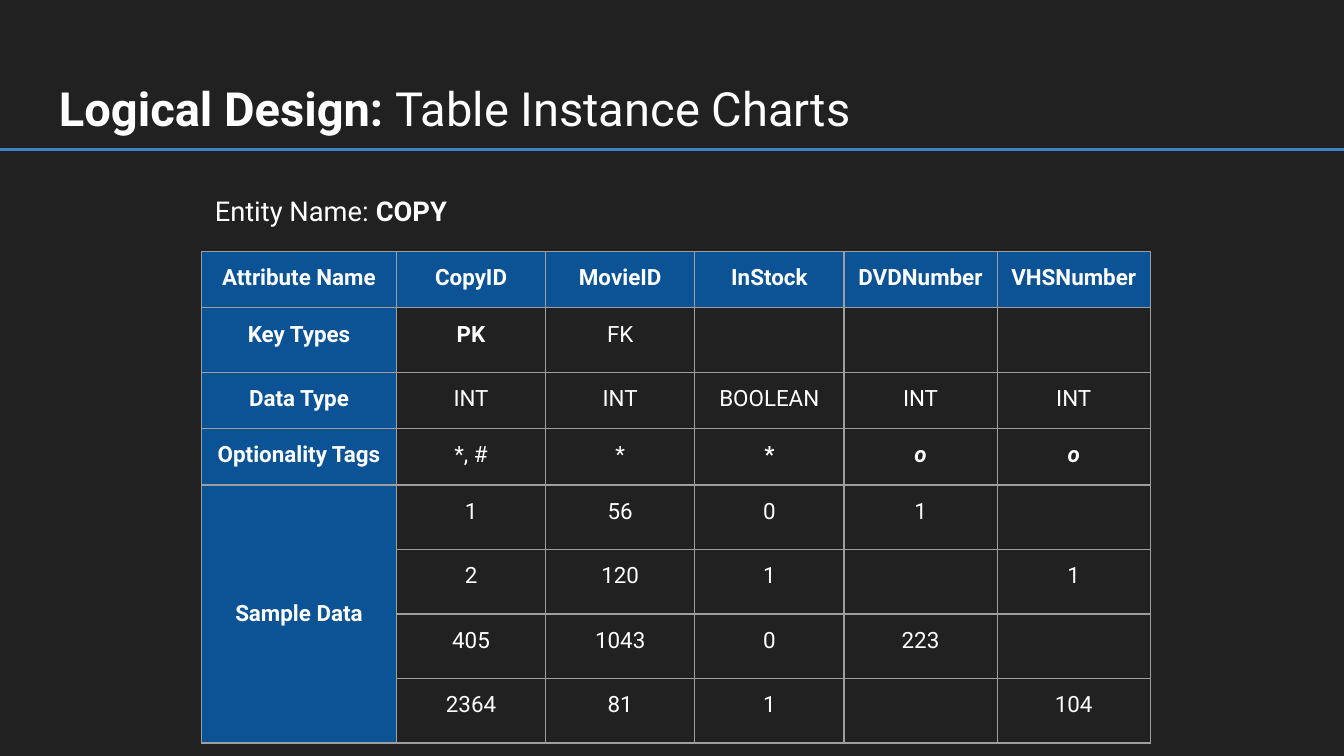
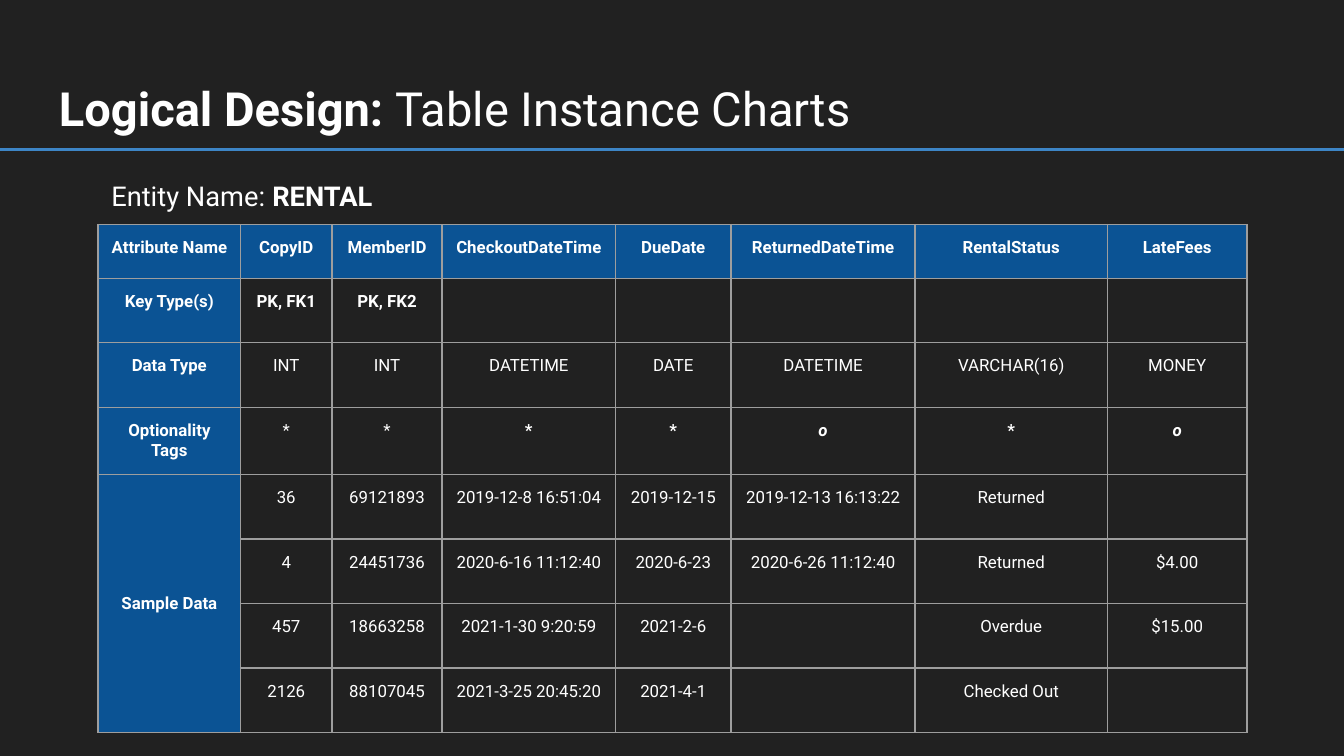
from pptx import Presentation
from pptx.dml.color import RGBColor
from pptx.enum.shapes import MSO_CONNECTOR
from pptx.enum.text import MSO_ANCHOR, PP_ALIGN
from pptx.oxml import parse_xml
from pptx.oxml.ns import nsdecls
from pptx.util import Inches, Pt

CENTER, LEFT = PP_ALIGN.CENTER, PP_ALIGN.LEFT
TOP, MIDDLE = MSO_ANCHOR.TOP, MSO_ANCHOR.MIDDLE
STRAIGHT = MSO_CONNECTOR.STRAIGHT

# Content
TITLE = ("Logical Design: ", "Table Instance Charts")
ENTITY_LABEL = "Entity Name: "
ENTITIES = [
    {
        "name": "COPY", "left": 1.5, "label_top": 1.35, "table_top": 1.87, "size": 12,
        "cols": [1.45, 1.11, 1.11, 1.11, 1.14, 1.14],
        "rows": [0.42, 0.48, 0.42, 0.42] + [0.48] * 4,
        "cells": [
            ["Attribute Name", "CopyID", "MovieID", "InStock", "DVDNumber", "VHSNumber"],
            ["Key Types", "PK", "FK", "", "", ""],
            ["Data Type", "INT", "INT", "BOOLEAN", "INT", "INT"],
            ["Optionality Tags", "*, #", "*", "*", "o", "o"],
            ["Sample Data", "1", "56", "0", "1", ""],
            ["", "2", "120", "1", "", "1"],
            ["", "405", "1043", "0", "223", ""],
            ["", "2364", "81", "1", "", "104"],
        ],
    },
    {
        "name": "RENTAL", "left": 0.73, "label_top": 1.24, "table_top": 1.67, "size": 9,
        "cols": [1.06, 0.68, 0.82, 1.29, 0.86, 1.37, 1.43, 1.04],
        "rows": [0.4, 0.48, 0.48, 0.5] + [0.48] * 4,
        "cells": [
            ["Attribute Name", "CopyID", "MemberID", "CheckoutDateTime", "DueDate",
             "ReturnedDateTime", "RentalStatus", "LateFees"],
            ["Key Type(s)", "PK, FK1", "PK, FK2", "", "", "", "", ""],
            ["Data Type", "INT", "INT", "DATETIME", "DATE", "DATETIME", "VARCHAR(16)", "MONEY"],
            ["Optionality Tags", "*", "*", "*", "*", "o", "*", "o"],
            ["Sample Data", "36", "69121893", "2019-12-8 16:51:04", "2019-12-15",
             "2019-12-13 16:13:22", "Returned", ""],
            ["", "4", "24451736", "2020-6-16 11:12:40", "2020-6-23",
             "2020-6-26 11:12:40", "Returned", "$4.00"],
            ["", "457", "18663258", "2021-1-30 9:20:59", "2021-2-6", "", "Overdue", "$15.00"],
            ["", "2126", "88107045", "2021-3-25 20:45:20", "2021-4-1", "", "Checked Out", ""],
        ],
    },
]

# Shared style
COLORS = {"back": "212121", "text": "FFFFFF", "rule": "3D85C6",
          "header": "0B5394", "border": "9E9E9E"}
FONT = "Roboto"
WIDTH = 10
HEIGHT = WIDTH * 9 / 16
RULE_Y = 1.11
INSET = Inches(0.1)
TAG_ROW, SAMPLE_ROW = 3, 4
FIRST_BOLD_TAG = 3


def rgb(name):
    return RGBColor.from_string(COLORS[name])


def add_run(p, text, size, bold=False, italic=False):
    r = p.add_run()
    r.text = text
    f = r.font
    f.name, f.size, f.bold, f.italic = FONT, Pt(size), bold, italic
    f.color.rgb = rgb("text")


def add_line_of_text(s, box, runs, size):
    tf = s.shapes.add_textbox(*map(Inches, box)).text_frame
    tf.word_wrap = True
    tf.vertical_anchor = MIDDLE
    tf.margin_left = tf.margin_right = tf.margin_top = tf.margin_bottom = INSET
    tf.paragraphs[0].alignment = LEFT
    for text, bold in runs:
        add_run(tf.paragraphs[0], text, size, bold)


def add_borders(cell):
    for side in ("lnL", "lnR", "lnT", "lnB"):
        cell._tc.get_or_add_tcPr().append(parse_xml(
            f'<a:{side} {nsdecls("a")} w="{Pt(0.75)}"><a:solidFill>'
            f'<a:srgbClr val="{COLORS["border"]}"/></a:solidFill></a:{side}>'))


def is_bold(row, col, text):
    return (row == 0 or col == 0 or text.startswith("PK")
            or (row == TAG_ROW and col >= FIRST_BOLD_TAG))


def fill_cell(cell, row, col, text, size):
    add_borders(cell)
    if row == 0 or col == 0:
        cell.fill.solid()
        cell.fill.fore_color.rgb = rgb("header")
    else:
        cell.fill.background()
    cell.margin_left = cell.margin_right = cell.margin_top = cell.margin_bottom = INSET
    cell.vertical_anchor = MIDDLE if (row, col) == (SAMPLE_ROW, 0) else TOP
    p = cell.text_frame.paragraphs[0]
    p.alignment = CENTER
    if text:
        add_run(p, text, size, is_bold(row, col, text), text == "o")
    else:
        # Keep empty cells from stretching their row
        p._p.get_or_add_endParaRPr().set("sz", str(size * 100))


def add_instance_chart(s, entity):
    cols, rows, cells = entity["cols"], entity["rows"], entity["cells"]
    table = s.shapes.add_table(
        len(rows), len(cols), Inches(entity["left"]), Inches(entity["table_top"]),
        Inches(sum(cols)), Inches(sum(rows))).table
    table.first_row = table.horz_banding = False
    for column, width in zip(table.columns, cols):
        column.width = Inches(width)
    for row, height in zip(table.rows, rows):
        row.height = Inches(height)
    for i, texts in enumerate(cells):
        for j, text in enumerate(texts):
            fill_cell(table.cell(i, j), i, j, text, entity["size"])
    table.cell(SAMPLE_ROW, 0).merge(table.cell(len(rows) - 1, 0))


def add_base(prs):
    s = prs.slides.add_slide(prs.slide_layouts[6])
    s.background.fill.solid()
    s.background.fill.fore_color.rgb = rgb("back")
    add_line_of_text(s, (0.34, 0.49, 9.32, 0.63), zip(TITLE, (True, False)), 25.2)
    rule = s.shapes.add_connector(STRAIGHT, 0, Inches(RULE_Y), Inches(WIDTH), Inches(RULE_Y))
    rule.line.color.rgb = rgb("rule")
    rule.line.width = Pt(1.5)
    rule._element.spPr.append(parse_xml(f'<a:effectLst {nsdecls("a")}/>'))
    return s


def main():
    prs = Presentation()
    prs.slide_width, prs.slide_height = Inches(WIDTH), Inches(HEIGHT)
    for entity in ENTITIES:
        s = add_base(prs)
        add_instance_chart(s, entity)
        add_line_of_text(s, (entity["left"], entity["label_top"], 7, 0.43),
                         [(ENTITY_LABEL, False), (entity["name"], True)], 14.6)
    prs.save("out.pptx")


if __name__ == "__main__":
    main()
